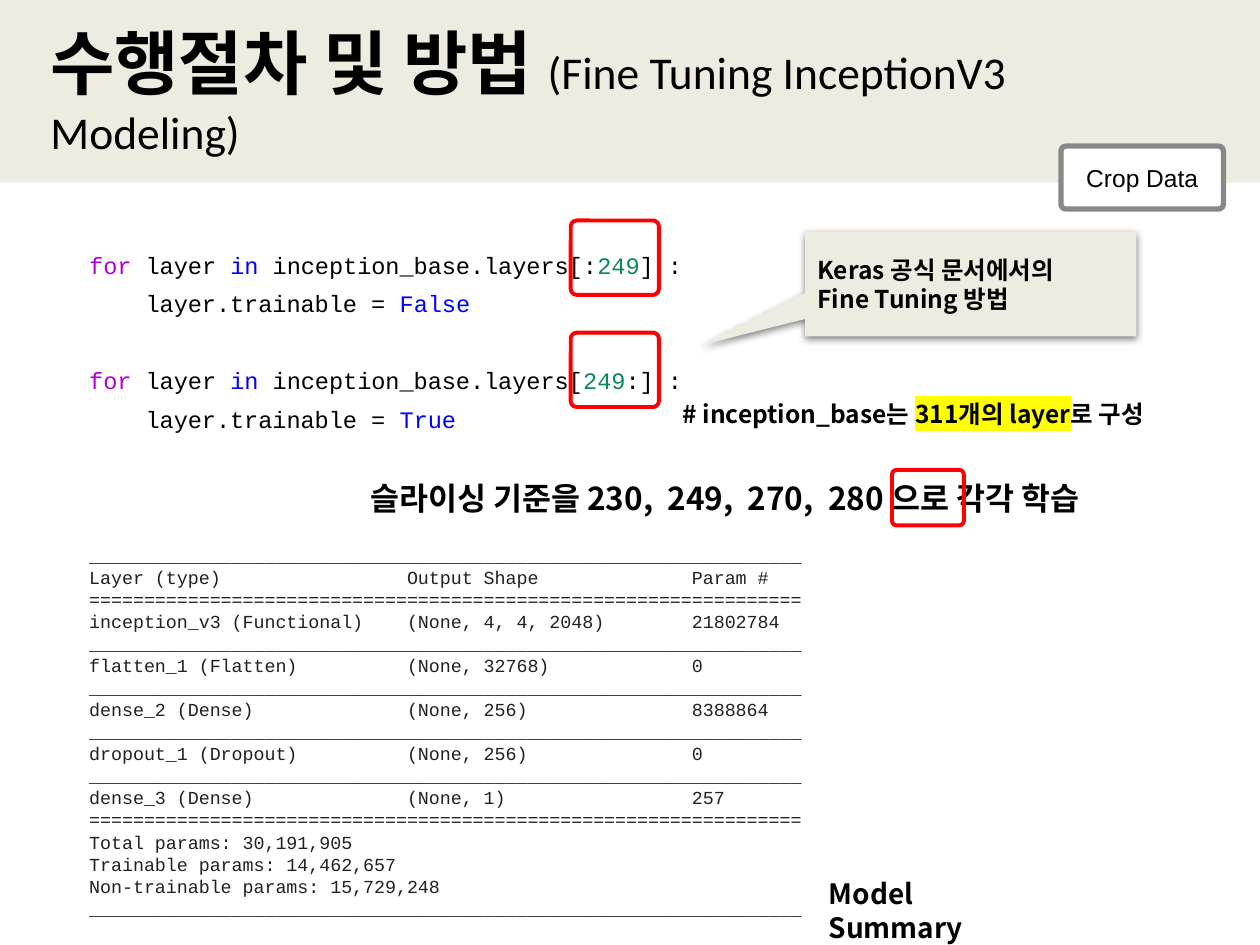
from lxml import etree
from pptx import Presentation, util as u
from pptx.dml.color import RGBColor
from pptx.enum import shapes, text
from pptx.oxml.ns import qn

COLUMNS, ROWS = 100, 75
WIDTH, HEIGHT = u.Inches(10), u.Inches(7.5)
KOREAN, CODE = "Noto Sans CJK KR", "Courier New"
BEIGE, RED = "EEECE1", "FF0000"
KEYWORD, OPERATOR, NUMBER = ({"color": c} for c in ("AF00DB", "0000FF", "09885A"))
RULE, DOUBLE_RULE = "_" * 65, "=" * 65


def grid(left, top, width, height):
    column, row = WIDTH / COLUMNS, HEIGHT / ROWS
    return [round(n) for n in (left * column, top * row, width * column, height * row)]


def rgb(value):
    return RGBColor.from_string(value)


def child(parent, tag, **attributes):
    return etree.SubElement(parent, qn(tag), attributes)


def add_run(paragraph, content, size, font, color="000000", bold=False, highlight=None):
    run = paragraph.add_run()
    run.text = content
    run.font.size, run.font.bold = u.Pt(size), bold
    run.font.color.rgb = rgb(color)
    properties = run.font.fill and run._r.get_or_add_rPr()
    if highlight:
        child(child(properties, "a:highlight"), "a:srgbClr", val=highlight)
    run.font.name = font
    child(properties, "a:ea", typeface=font)


def write(shape, paragraphs, align=text.PP_ALIGN.LEFT, anchor=text.MSO_ANCHOR.TOP,
          inset=(0.1, 0.1), spacing=1, gaps=(), **style):
    frame = shape.text_frame
    frame.word_wrap = True
    frame.auto_size = text.MSO_AUTO_SIZE.NONE
    frame.vertical_anchor = anchor
    frame.margin_left = frame.margin_right = u.Inches(inset[0])
    frame.margin_top = frame.margin_bottom = u.Inches(inset[1])
    for index, runs in enumerate(paragraphs):
        paragraph = frame.add_paragraph() if index else frame.paragraphs[0]
        paragraph.alignment, paragraph.line_spacing = align, spacing
        if index in dict(gaps):
            paragraph.space_before = u.Pt(dict(gaps)[index])
        for content, changes in runs:
            add_run(paragraph, content, **{**style, **changes})


def add_text(slide, place, paragraphs, **style):
    write(slide.shapes.add_textbox(*grid(*place)), paragraphs, **style)


def add_panel(slide, kind, place, fill=None, line=None, weight=0, adjust=()):
    panel = slide.shapes.add_shape(kind, *grid(*place))
    panel.shadow.inherit = False
    for index, value in enumerate(adjust):
        panel.adjustments[index] = value
    if fill:
        panel.fill.solid()
        panel.fill.fore_color.rgb = rgb(fill)
    else:
        panel.fill.background()
    if line:
        panel.line.color.rgb = rgb(line)
        panel.line.width = u.Pt(weight)
    else:
        panel.line.fill.background()
    return panel


def add_rounded(slide, place, **look):
    return add_panel(slide, shapes.MSO_SHAPE.ROUNDED_RECTANGLE, place, adjust=[0.08], **look)


def add_heading(slide):
    band = add_panel(slide, shapes.MSO_SHAPE.RECTANGLE, (0, 0, COLUMNS, 14.5), fill=BEIGE)
    title = slide.shapes.title
    title.element.addprevious(band.element)
    title.left, title.top, title.width, title.height = grid(3, 4.1, 92.9, 5.9)
    write(title, [[("수행절차 및 방법 ", {"size": 40, "bold": True}),
                   ("(Fine Tuning InceptionV3 Modeling)", {})]],
          anchor=text.MSO_ANCHOR.MIDDLE, inset=(0.1, 0.05), size=26, font="Calibri")


def freeze_loop(before, after, value):
    return [
        [("for", KEYWORD), (" layer ", {}), ("in", OPERATOR),
         (f" inception_base.layers[{before}", {}), ("249", NUMBER), (f"{after}] :", {})],
        [("    layer.trainable = ", {}), (value, OPERATOR)],
    ]


def add_callout(slide):
    callout = add_panel(slide, shapes.MSO_SHAPE.ROUNDED_RECTANGULAR_CALLOUT,
                        (63.9, 18.4, 26.3, 8.3), fill=BEIGE, adjust=[-0.81, 0.58, 0])
    effects = callout.element.spPr.find(qn("a:effectLst"))
    shadow = child(effects, "a:outerShdw", blurRad=str(u.Pt(4.5)), dist=str(u.Pt(1.5)),
                   dir="5400000", algn="ctr", rotWithShape="0")
    child(child(shadow, "a:srgbClr", val="000000"), "a:alpha", val="50000")
    write(callout, [[("Keras 공식 문서에서의", {})], [("Fine Tuning 방법", {})]],
          anchor=text.MSO_ANCHOR.MIDDLE, size=14, font=KOREAN, bold=True)


def summary_lines():
    header, *layers = [f"{name:<29}{shape:<26}{params}" for name, shape, params in (
        ("Layer (type)", "Output Shape", "Param #"),
        ("inception_v3 (Functional)", "(None, 4, 4, 2048)", "21802784"),
        ("flatten_1 (Flatten)", "(None, 32768)", "0"),
        ("dense_2 (Dense)", "(None, 256)", "8388864"),
        ("dropout_1 (Dropout)", "(None, 256)", "0"),
        ("dense_3 (Dense)", "(None, 1)", "257"),
    )]
    body = f"\n{RULE}\n".join(layers).split("\n")
    totals = ["Total params: 30,191,905", "Trainable params: 14,462,657",
              "Non-trainable params: 15,729,248"]
    return [RULE, header, DOUBLE_RULE, *body, DOUBLE_RULE, *totals, RULE]


def main():
    deck = Presentation()
    deck.slide_width, deck.slide_height = WIDTH, HEIGHT
    slide = deck.slides.add_slide(deck.slide_layouts[5])
    label = {"font": KOREAN, "bold": True}

    add_heading(slide)
    add_text(slide, (6.1, 18.1, 52.3, 16.6),
             freeze_loop(":", "", "False") + freeze_loop("", ":", "True"),
             size=13.5, font=CODE, spacing=1.36, gaps=[(2, 22)])
    add_text(slide, (28.4, 37, 67.4, 5),
             [[("슬라이싱 기준을 230,  249,  270,  280 으로 각각 학습", {})]], size=18, **label)
    for marker in ((45.3, 17.5, 7, 5.9), (45.3, 26.4, 7, 5.9), (70.8, 37.3, 5.7, 4.4)):
        add_rounded(slide, marker, line=RED, weight=2.25)
    add_callout(slide)
    dataset = add_rounded(slide, (84.2, 11.6, 12.9, 5), fill="FFFFFF", line="888888", weight=3)
    write(dataset, [[("Crop Data", {})]], align=text.PP_ALIGN.CENTER,
          anchor=text.MSO_ANCHOR.MIDDLE, size=14, font="Arial")
    add_text(slide, (6.1, 42.2, 62.2, 32.1), [[(line, {})] for line in summary_lines()],
             size=10.5, font=CODE, color="212121")
    add_text(slide, (64.8, 68.6, 19.4, 4.7), [[("Model Summary", {})]], size=16, **label)
    add_text(slide, (53.2, 30.7, 40.8, 4.4),
             [[("# inception_base는 ", {}), ("311개의 layer", {"highlight": "FFFF00"}),
               ("로 구성", {})]], size=14, **label)
    deck.save("out.pptx")


if __name__ == "__main__":
    main()
